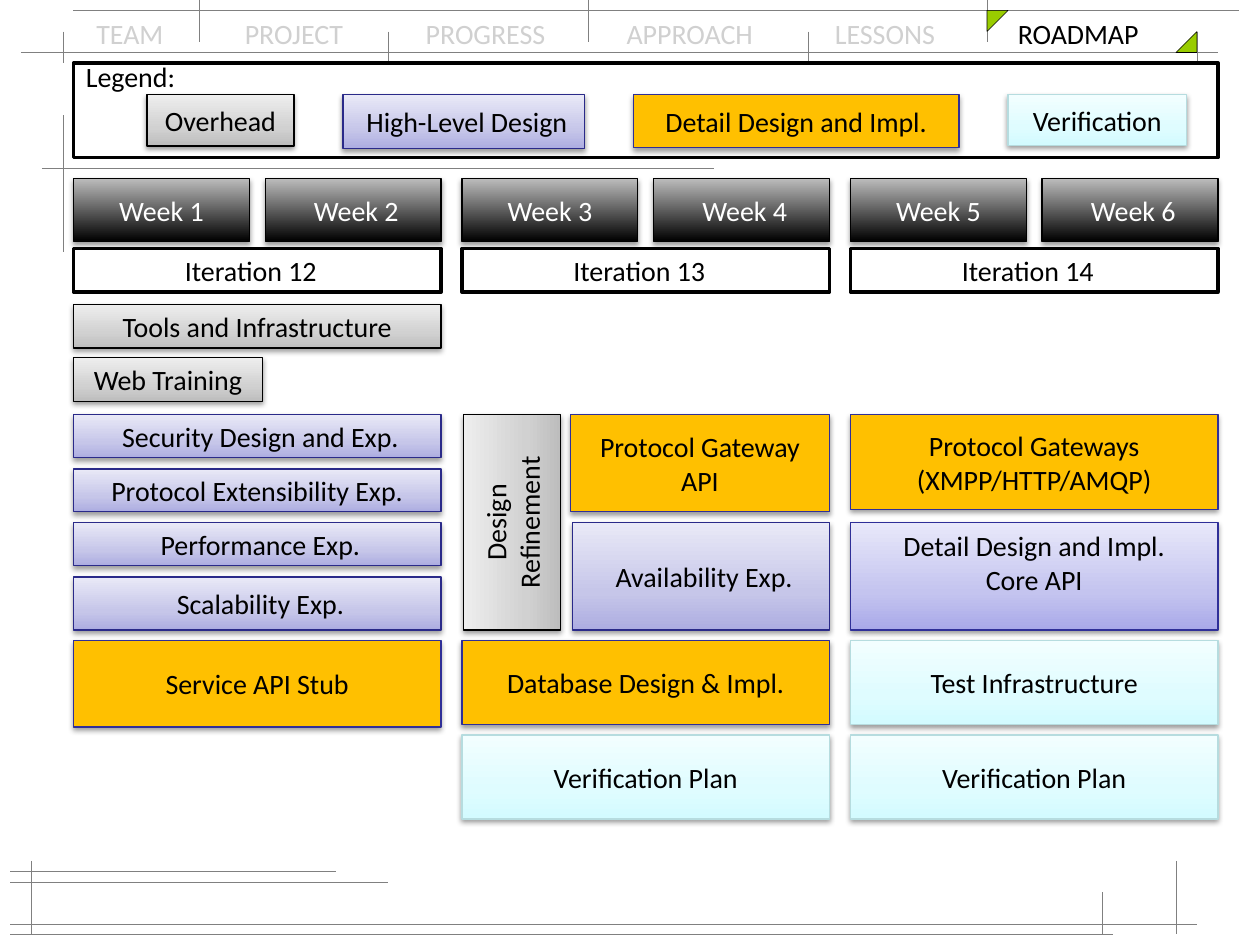
from lxml import etree
from pptx import Presentation
from pptx.dml.color import RGBColor
from pptx.enum import shapes, text
from pptx.oxml import ns
from pptx.util import Pt

BLACK = RGBColor(0, 0, 0)
WHITE = RGBColor(255, 255, 255)
FADED = RGBColor(0xD0, 0xD0, 0xD0)
GREY = RGBColor(0x80, 0x80, 0x80)
GREEN = RGBColor(0x99, 0xCC, 0x00)
AMBER = RGBColor(0xFF, 0xC0, 0x00)
NAVY = RGBColor(0x2A, 0x2A, 0x89)
INDIGO = RGBColor(0x2F, 0x2F, 0x98)
TEAL = RGBColor(0xB6, 0xDC, 0xDF)

OVERHEAD = dict(stops=((0, "BDBDBD"), (35, "D1D1D1"), (100, "EEEEEE")), line=BLACK)
HIGH = dict(stops=((0, "ADADE1"), (35, "C6C6E9"), (100, "E9E9F7")), line=NAVY)
CORE = dict(stops=((0, "A9A9E9"), (35, "C4C4EF"), (100, "E8E8FA")), line=INDIGO)
DETAIL = dict(fill=AMBER, line=INDIGO)
VERIFY = dict(stops=((0, "D3FBFF"), (35, "DFFCFF"), (100, "F2FEFF")), line=TEAL)
WEEK = dict(stops=((0, "000000"), (100, "BDBDBD")), line=BLACK, color=WHITE)
FRAME = dict(fill=WHITE, line=BLACK, width=2, shadow=False)

prs = Presentation()
prs.slide_width, prs.slide_height = Pt(720), Pt(540)
s = prs.slides.add_slide(prs.slide_layouts[6])


def write(p, words, color=BLACK):
    r = p.add_run()
    r.text = words
    r.font.name, r.font.size = "Calibri", Pt(16)
    r.font.color.rgb = color


def box(words, x, y, w, h, fill=None, stops=(), line=BLACK, width=0.75, shadow=True,
        color=BLACK, left=7.2, right=7.2, top=False, rotation=0):
    sp = s.shapes.add_shape(shapes.MSO_SHAPE.RECTANGLE, Pt(x), Pt(y), Pt(w), Pt(h))
    sp.rotation = rotation
    sp.line.color.rgb, sp.line.width = line, Pt(width)
    sp.shadow.inherit = False
    props = sp._element.spPr
    if stops:
        sp.fill.gradient()
        sp.fill.gradient_angle = 90
        gs_list = props.find(".//" + ns.qn("a:gsLst"))
        for gs in list(gs_list):
            gs_list.remove(gs)
        for pos, rgb in stops:
            gs = etree.SubElement(gs_list, ns.qn("a:gs"), pos=str(pos * 1000))
            etree.SubElement(gs, ns.qn("a:srgbClr"), val=rgb)
    else:
        sp.fill.solid()
        sp.fill.fore_color.rgb = fill
    if shadow:
        outer = etree.SubElement(props.find(ns.qn("a:effectLst")), ns.qn("a:outerShdw"),
                                 blurRad=str(Pt(3.1)), dist=str(Pt(1.6)),
                                 dir="5400000", rotWithShape="0")
        rgb = etree.SubElement(outer, ns.qn("a:srgbClr"), val="000000")
        etree.SubElement(rgb, ns.qn("a:alpha"), val="38000")
    tf = sp.text_frame
    tf.word_wrap = True
    tf.margin_left, tf.margin_right = Pt(left), Pt(right)
    tf.vertical_anchor = text.MSO_ANCHOR.TOP if top else text.MSO_ANCHOR.MIDDLE
    for i, row in enumerate(words.split("\n") if words else []):
        p = tf.add_paragraph() if i else tf.paragraphs[0]
        p.alignment = text.PP_ALIGN.CENTER
        write(p, row, color)


tb = s.shapes.add_textbox(Pt(48), Pt(6), Pt(624), Pt(26.4))
tb.text_frame.word_wrap = True
p = tb.text_frame.paragraphs[0]
tabs = etree.SubElement(p._p.get_or_add_pPr(), ns.qn("a:tabLst"))
for stop in (84.8, 188.2, 303, 422, 526.5):
    etree.SubElement(tabs, ns.qn("a:tab"), pos=str(Pt(stop)), algn="l")
write(p, "TEAM\tPROJECT\tPROGRESS\tAPPROACH\tLESSONS\t", FADED)
write(p, "ROADMAP")

for x1, y1, x2, y2 in (
    (12, 30, 696, 30), (42, 6, 708, 6), (36, 66, 36, 144), (24, 96, 408, 96),
    (6, 504, 222, 504), (6, 528, 684, 528), (18, 492, 18, 534), (6, 498, 192, 498),
    (6, 534, 636, 534), (672, 492, 672, 534), (630, 510, 630, 534),
    (36, 18, 36, 36), (222, 18, 222, 36), (462, 18, 462, 36), (684, 18, 684, 36),
    (114, 0, 114, 24), (336, 0, 336, 24), (564, 0, 564, 24),
):
    c = s.shapes.add_connector(shapes.MSO_CONNECTOR.STRAIGHT, Pt(x1), Pt(y1), Pt(x2), Pt(y2))
    c.line.color.rgb, c.line.width = GREY, Pt(0.3)
    etree.SubElement(c._element.spPr, ns.qn("a:effectLst"))

for x, y, flip in ((564, 6, "flipV"), (672, 18, "flipH")):
    sp = s.shapes.add_shape(shapes.MSO_SHAPE.RIGHT_TRIANGLE, Pt(x), Pt(y), Pt(12), Pt(12))
    sp._element.spPr.find(ns.qn("a:xfrm")).set(flip, "1")
    sp.fill.solid()
    sp.fill.fore_color.rgb = GREEN
    sp.line.color.rgb, sp.line.width = BLACK, Pt(0.3)
    sp.shadow.inherit = False

box("", 42, 36, 654, 54, **FRAME)
tb = s.shapes.add_textbox(Pt(42), Pt(30.5), Pt(66), Pt(26.4))
tb.text_frame.word_wrap = False
write(tb.text_frame.paragraphs[0], "Legend:")
box("Overhead", 84, 54, 84, 29.5, **OVERHEAD)
box("High-Level Design", 196, 54, 138, 31, left=10.8, **HIGH)
box("Detail Design and Impl.", 362, 54, 186, 30.2, **DETAIL)
box("Verification", 576, 54, 102, 29, **VERIFY)

COL_W = 210
COLS = [42 + 222 * i for i in range(3)]
for i, x in enumerate(COLS):
    box(f"Week {2 * i + 1}", x, 102, 100.5, 36, **WEEK)
    box(f"Week {2 * i + 2}", x + 109.5, 102, 100.5, 36, left=10.8, **WEEK)
    box(f"Iteration {12 + i}", x, 142, COL_W, 25, right=14.4, **FRAME)

for words, col, y, h, style in (
    ("Tools and Infrastructure", 0, 174, 25, OVERHEAD),
    ("Security Design and Exp.", 0, 237, 24.5, dict(HIGH, left=10.8)),
    ("Protocol Extensibility Exp.", 0, 268, 24.5, HIGH),
    ("Performance Exp.", 0, 298.7, 24.5, dict(HIGH, left=10.8)),
    ("Scalability Exp.", 0, 329.7, 30.3, dict(HIGH, left=10.8)),
    ("Service API Stub", 0, 366, 49.5, DETAIL),
    ("Database Design & Impl.", 1, 366, 48, DETAIL),
    ("Verification Plan", 1, 420, 48, VERIFY),
    ("Protocol Gateways\n(XMPP/HTTP/AMQP)", 2, 237, 54, DETAIL),
    ("Detail Design and Impl.\nCore API", 2, 298.7, 61.3, dict(CORE, top=True)),
    ("Test Infrastructure", 2, 366, 48, VERIFY),
    ("Verification Plan", 2, 420, 48, VERIFY),
):
    box(words, COLS[col], y, COL_W, h, **style)

box("Web Training", 42, 204.3, 108, 25, **OVERHEAD)
box("Design Refinement", 231, 270.7, 123, 55.5, rotation=270, **OVERHEAD)
box("Protocol Gateway API", 326, 237, 148, 55.3, **DETAIL)
box("Availability Exp.", 327, 298.7, 147, 61.3, left=10.8, **HIGH)

prs.save("out.pptx")
